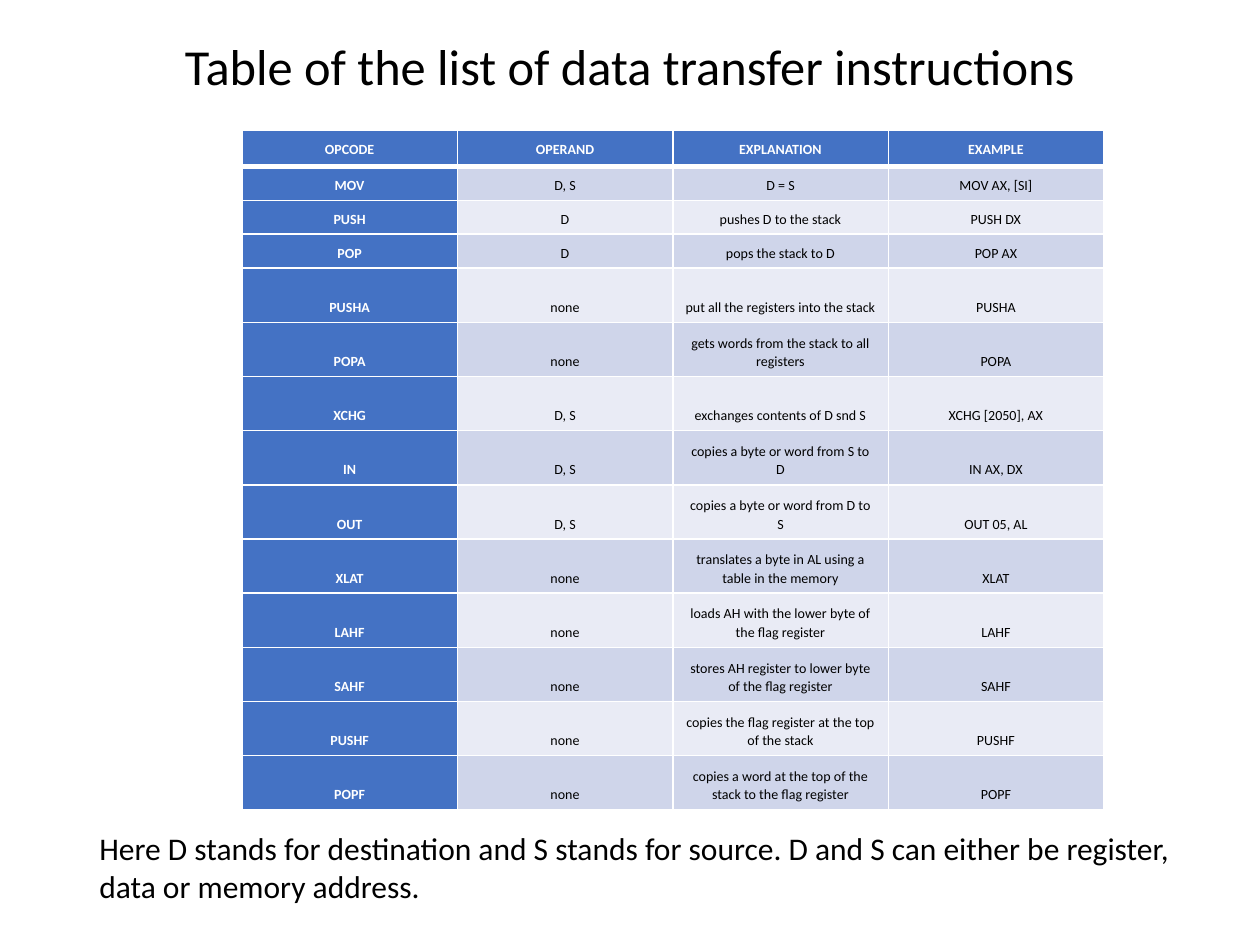
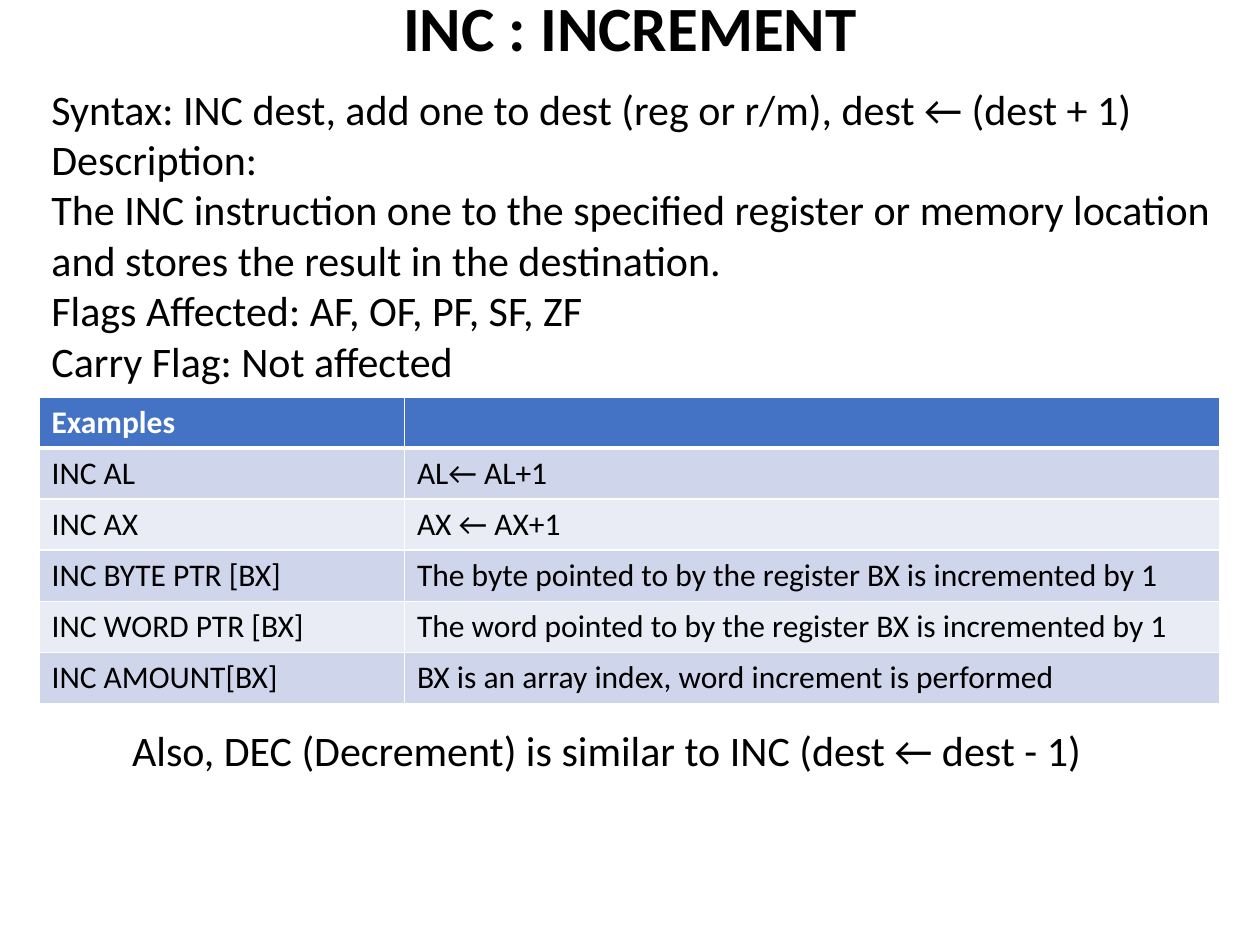
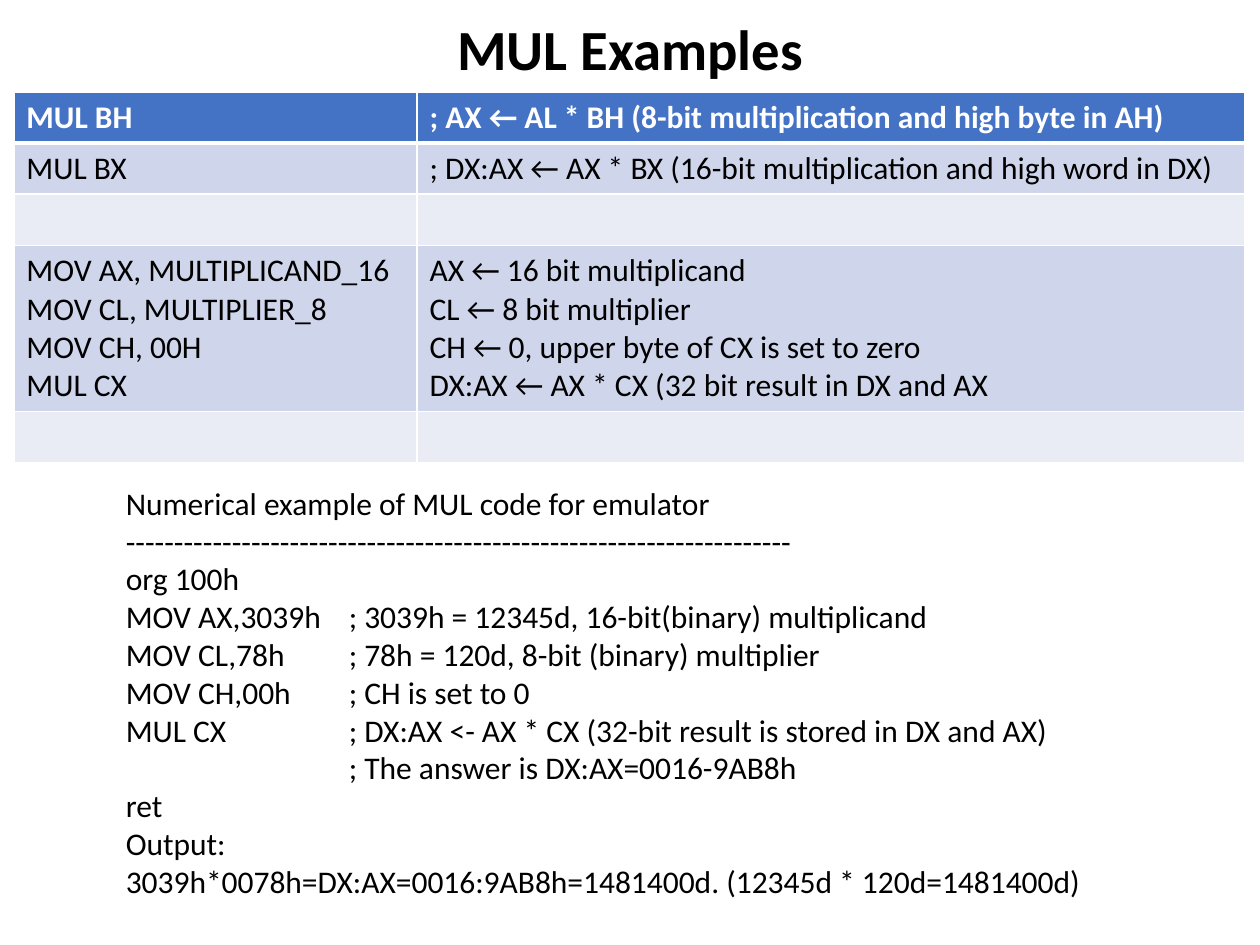
from lxml import etree
from pptx import Presentation
from pptx.dml.color import RGBColor
from pptx.enum.text import MSO_ANCHOR as Anchor, MSO_AUTO_SIZE as AutoSize, PP_ALIGN as Align
from pptx.oxml.ns import qn
from pptx.util import Inches, Pt

FONT = "Calibri"
COLORS = {
    "text": "000000",
    "white": "FFFFFF",
    "header": "4472C4",
    "band_dark": "CFD5EA",
    "band_light": "E9EBF5",
}
LINE_ROW = 2.43 / 6  # height of a one-line row at 18 pt

TRANSFER_ROWS = [
    ("OPCODE", "OPERAND", "EXPLANATION", "EXAMPLE"),
    ("MOV", "D, S", "D = S", "MOV AX, [SI]"),
    ("PUSH", "D", "pushes D to the stack", "PUSH DX"),
    ("POP", "D", "pops the stack to D", "POP AX"),
    ("PUSHA", "none", "put all the registers into the stack", "PUSHA"),
    ("POPA", "none", "gets words from the stack to all registers", "POPA"),
    ("XCHG", "D, S", "exchanges contents of D snd S", "XCHG [2050], AX"),
    ("IN", "D, S", "copies a byte or word from S to D", "IN AX, DX"),
    ("OUT", "D, S", "copies a byte or word from D to S", "OUT 05, AL"),
    ("XLAT", "none", "translates a byte in AL using a table in the memory", "XLAT"),
    ("LAHF", "none", "loads AH with the lower byte of the flag register", "LAHF"),
    ("SAHF", "none", "stores AH register to lower byte of the flag register", "SAHF"),
    ("PUSHF", "none", "copies the flag register at the top of the stack", "PUSHF"),
    ("POPF", "none", "copies a word at the top of the stack to the flag register", "POPF"),
]
TRANSFER_NOTE = ("Here D stands for destination and S stands for source. "
                 "D and S can either be register, data or memory address.")

INC_TEXT = """Syntax: INC dest, add one to dest (reg or r/m), dest ← (dest + 1)
Description:
The INC instruction one to the specified register or memory location and stores the result in the destination.
Flags Affected: AF, OF, PF, SF, ZF
Carry Flag: Not affected"""
INC_ROWS = [
    ("Examples", ""),
    ("INC AL", "AL← AL+1"),
    ("INC AX", "AX ← AX+1"),
    ("INC BYTE PTR [BX]", "The byte pointed to by the register BX is incremented by 1"),
    ("INC WORD PTR [BX]", "The word pointed to by the register BX is incremented by 1"),
    ("INC AMOUNT[BX]", "BX is an array index, word increment is performed"),
]
DEC_NOTE = "Also, DEC (Decrement) is similar to INC (dest ← dest - 1)"

MUL_ROWS = [
    ("MUL BH", "; AX ← AL * BH (8-bit multiplication and high byte in AH)"),
    ("MUL BX", "; DX:AX ← AX * BX (16-bit multiplication and high word in DX)"),
    ("", ""),
    ("MOV AX, MULTIPLICAND_16\nMOV CL, MULTIPLIER_8\nMOV CH, 00H\nMUL CX",
     "AX ← 16 bit multiplicand\nCL ← 8 bit multiplier\n"
     "CH ← 0, upper byte of CX is set to zero\n"
     "DX:AX ← AX * CX (32 bit result in DX and AX"),
    ("", ""),
]
RULE = "-" * 69
MUL_CODE = f"""Numerical example of MUL code for emulator
{RULE}
org 100h
MOV AX,3039h\t; 3039h = 12345d, 16-bit(binary) multiplicand
MOV CL,78h\t; 78h = 120d, 8-bit (binary) multiplier
MOV CH,00h\t; CH is set to 0
MUL CX\t; DX:AX <- AX * CX (32-bit result is stored in DX and AX)
\t; The answer is DX:AX=0016-9AB8h
ret
Output:
3039h*0078h=DX:AX=0016:9AB8h=1481400d. (12345d * 120d=1481400d)"""


def rgb(name):
    return RGBColor.from_string(COLORS[name])


def format_text(tf, size, color="text", bold=False, align=Align.LEFT, spacing=None):
    for p in tf.paragraphs:
        p.alignment = align
        if spacing:
            p.line_spacing = spacing
        for font in [p.font] + [r.font for r in p.runs]:
            font.name, font.size, font.bold = FONT, Pt(size), bold
            font.color.rgb = rgb(color)


def add_titled_slide(prs, title, box, size, bold=False):
    slide = prs.slides.add_slide(prs.slide_layouts[5])
    sp = slide.shapes.title
    sp.left, sp.top, sp.width, sp.height = map(Inches, box)
    tf = sp.text_frame
    tf.text = title
    tf.auto_size = AutoSize.NONE
    tf.vertical_anchor = Anchor.MIDDLE
    format_text(tf, size, bold=bold, align=Align.CENTER, spacing=0.9)
    return slide


def add_text(slide, text, box, size, tab=None):
    tf = slide.shapes.add_textbox(*map(Inches, box)).text_frame
    tf.word_wrap = True
    tf.text = text
    if tab:
        for p in tf.paragraphs:
            tabs = etree.SubElement(p._p.get_or_add_pPr(), qn("a:tabLst"))
            etree.SubElement(tabs, qn("a:tab"), pos=str(Inches(tab)), algn="l")
    format_text(tf, size)


def set_borders(cell, bottom):
    tcPr = cell._tc.get_or_add_tcPr()
    for side, width in (("L", 1), ("R", 1), ("T", 1), ("B", bottom)):
        ln = etree.SubElement(tcPr, qn(f"a:ln{side}"), w=str(Pt(width)))
        fill = etree.SubElement(ln, qn("a:solidFill"))
        etree.SubElement(fill, qn("a:srgbClr"), val=COLORS["white"])


def add_banded_table(slide, rows, left, top, widths, heights, size,
                     header_col=False, header_margin=None, anchor=Anchor.TOP, **text):
    frame = slide.shapes.add_table(len(rows), len(widths), Inches(left), Inches(top),
                                   Inches(sum(widths)), Inches(sum(heights)))
    table = frame.table
    table.first_col = header_col
    for col, width in zip(table.columns, widths):
        col.width = Inches(width)
    for i, (row, height) in enumerate(zip(rows, heights)):
        table.rows[i].height = Inches(height)
        band = "band_dark" if i % 2 else "band_light"
        for j, value in enumerate(row):
            cell = table.cell(i, j)
            is_header = i == 0 or (header_col and j == 0)
            set_borders(cell, 3 if i == 0 else 1)
            cell.fill.solid()
            cell.fill.fore_color.rgb = rgb("header" if is_header else band)
            cell.vertical_anchor = anchor
            if i == 0 and header_margin:
                cell.margin_left = cell.margin_right = Inches(header_margin)
                cell.margin_top = cell.margin_bottom = Inches(header_margin)
            cell.text_frame.text = value
            format_text(cell.text_frame, size, "white" if is_header else "text",
                        is_header, **text)


def build_transfer_slide(prs):
    slide = add_titled_slide(prs, "Table of the list of data transfer instructions",
                             (0.69, 0.29, 8.62, 0.52), 28.8)
    heights = [0.29] + [0.27] * 3 + [0.43] * 10
    add_banded_table(slide, TRANSFER_ROWS, 1.92, 1.03, [1.71] * 4, heights, 8,
                     header_col=True, header_margin=0.06, anchor=Anchor.BOTTOM,
                     align=Align.CENTER, spacing=1.07)
    add_text(slide, TRANSFER_NOTE, (0.69, 6.53, 9.15, 0.71), 18)


def build_inc_slide(prs):
    slide = add_titled_slide(prs, "INC : INCREMENT", (0.69, -0.1, 8.62, 0.7), 36, bold=True)
    add_banded_table(slide, INC_ROWS, 0.31, 3.15, [2.9, 6.47], [LINE_ROW] * 6, 18)
    add_text(slide, INC_TEXT, (0.31, 0.61, 9.51, 2.52), 24)
    add_text(slide, DEC_NOTE, (0.95, 5.7, 7.75, 0.5), 24)


def build_mul_slide(prs):
    slide = add_titled_slide(prs, "MUL Examples", (0.69, 0.1, 8.62, 0.62), 32.4, bold=True)
    heights = [LINE_ROW] * 3 + [1.3, LINE_ROW]
    add_banded_table(slide, MUL_ROWS, 0.11, 0.73, [3.2, 6.57], heights, 18)
    # Program listing, with its comments lined up on a tab stop
    add_text(slide, MUL_CODE, (0.9, 3.79, 7.87, 3.43), 18, tab=1.77)


def main():
    prs = Presentation()
    prs.slide_width, prs.slide_height = Inches(10), Inches(7.5)
    build_transfer_slide(prs)
    build_inc_slide(prs)
    build_mul_slide(prs)
    prs.save("out.pptx")


if __name__ == "__main__":
    main()
